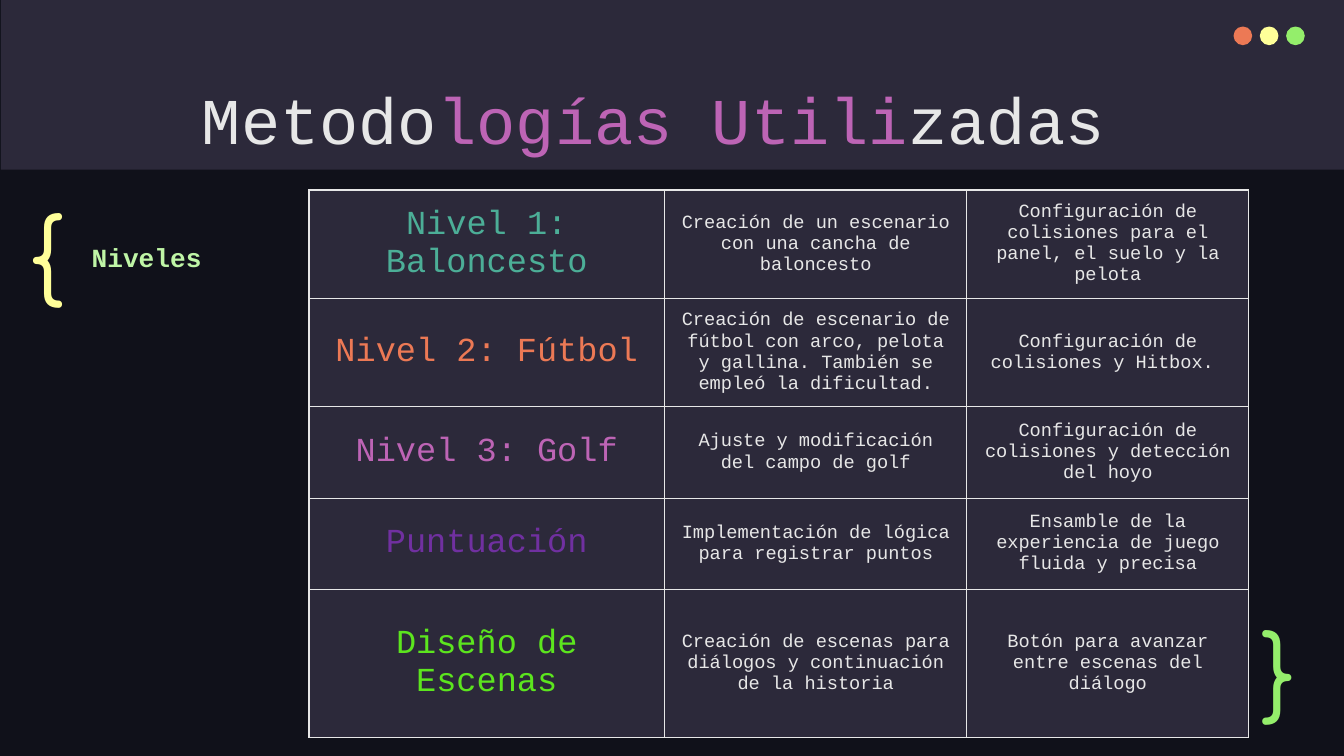
from pptx import Presentation
from pptx.dml.color import RGBColor
from pptx.enum.shapes import MSO_SHAPE
from pptx.enum.text import MSO_ANCHOR, PP_ALIGN
from pptx.oxml import parse_xml
from pptx.oxml.ns import nsdecls
from pptx.util import Pt

COLORS = {
    "night": "10111A", "panel": "2C293A", "light": "E7E7E7", "orange": "EC7955",
    "yellow": "FFFF99", "green": "94EE6B", "mint": "BFF5A6", "pink": "BD64B5",
    "teal": "4CAE97", "purple": "7030A0", "lime": "5CE51E",
}
MONO = "Courier New"
ROUND = "Comfortaa"

LEVELS = [
    ("Nivel 1: Baloncesto", "teal", 56,
     "Creación de un escenario con una cancha de baloncesto",
     "Configuración de colisiones para el panel, el suelo y la pelota"),
    ("Nivel 2: Fútbol", "orange", 56,
     "Creación de escenario de fútbol con arco, pelota y gallina. "
     "También se empleó la dificultad.",
     "Configuración de colisiones y Hitbox. "),
    ("Nivel 3: Golf", "pink", 49,
     "Ajuste y modificación del campo de golf",
     "Configuración de colisiones y detección del hoyo"),
    ("Puntuación", "purple", 49,
     "Implementación de lógica para registrar puntos",
     "Ensamble de la experiencia de juego fluida y precisa"),
    ("Diseño de Escenas", "lime", 79,
     "Creación de escenas para diálogos y continuación de la historia",
     "Botón para avanzar entre escenas del diálogo"),
]


def rgb(name):
    return RGBColor.from_string(COLORS[name])


def set_attrs(obj, values):
    for name, value in values.items():
        setattr(obj, name, value)


def paint(obj, color):
    obj.fill.solid()
    obj.fill.fore_color.rgb = rgb(color)


def add_runs(p, runs, size, font=MONO, bold=False):
    for text, color in runs:
        r = p.add_run()
        r.text = text
        set_attrs(r.font, {"name": font, "size": Pt(size), "bold": bold})
        r.font.color.rgb = rgb(color)


def add_block(s, kind, box, color):
    sp = s.shapes.add_shape(kind, *map(Pt, box))
    paint(sp, color)
    sp.line.fill.background()
    sp.shadow.inherit = False


def add_label(s, box, runs, size, font=MONO, bold=False,
              align=PP_ALIGN.LEFT, anchor=MSO_ANCHOR.TOP):
    tf = s.shapes.add_textbox(*map(Pt, box)).text_frame
    margins = dict.fromkeys(
        ("margin_left", "margin_top", "margin_right", "margin_bottom"), Pt(7.2))
    set_attrs(tf, {"word_wrap": True, "vertical_anchor": anchor, **margins})
    p = tf.paragraphs[0]
    p.alignment = align
    add_runs(p, runs, size, font, bold)


def add_borders(cell, color):
    tcPr = cell._tc.get_or_add_tcPr()
    for i, side in enumerate(("lnL", "lnR", "lnT", "lnB")):
        tcPr.insert(i, parse_xml(
            f'<a:{side} {nsdecls("a")} w="{Pt(0.75)}"><a:solidFill>'
            f'<a:srgbClr val="{COLORS[color]}"/></a:solidFill></a:{side}>'))


def fill_cell(cell, text, color, size):
    set_attrs(cell, {"vertical_anchor": MSO_ANCHOR.MIDDLE,
                     "margin_left": Pt(7.2), "margin_right": Pt(7.2),
                     "margin_top": Pt(5), "margin_bottom": Pt(5)})
    paint(cell, "panel")
    add_borders(cell, "light")
    p = cell.text_frame.paragraphs[0]
    p.alignment = PP_ALIGN.CENTER
    add_runs(p, [(text, color)], size)


def add_levels_table(s, left, top, widths):
    heights = [level[2] for level in LEVELS]
    table = s.shapes.add_table(len(LEVELS), len(widths), Pt(left), Pt(top),
                               Pt(sum(widths)), Pt(sum(heights))).table
    set_attrs(table, {"first_row": False, "horz_banding": False})
    for col, width in zip(table.columns, widths):
        col.width = Pt(width)
    for row, (name, color, height, *steps) in zip(table.rows, LEVELS):
        row.height = Pt(height)
        fill_cell(row.cells[0], name, color, 18)
        for cell, step in zip(list(row.cells)[1:], steps):
            fill_cell(cell, step, "light", 10)


def main():
    prs = Presentation()
    set_attrs(prs, {"slide_width": Pt(720), "slide_height": Pt(405)})
    s = prs.slides.add_slide(prs.slide_layouts[6])
    paint(s.background, "night")

    add_block(s, MSO_SHAPE.RECTANGLE, (0.5, 0, 720, 91), "panel")
    for i, color in enumerate(("orange", "yellow", "green")):
        add_block(s, MSO_SHAPE.OVAL, (660.8 + 14.1 * i, 14.2, 10, 10), color)

    title = [("Metodo", "light"), ("logías Utili", "pink"), ("zadas ", "light")]
    add_label(s, (57, 35, 607, 45.5), title, 35, align=PP_ALIGN.CENTER)

    add_levels_table(s, 165.5, 101.8, (190.5, 162, 151))

    add_label(s, (8, 96.5, 55.5, 68.5), [("{", "yellow")], 50, ROUND)
    add_label(s, (669, 319.5, 41, 60), [("}", "green")], 50, ROUND)
    add_label(s, (42, 101.5, 192, 72), [("Niveles", "mint")], 14, bold=True,
              anchor=MSO_ANCHOR.MIDDLE)

    prs.save("out.pptx")


if __name__ == "__main__":
    main()
